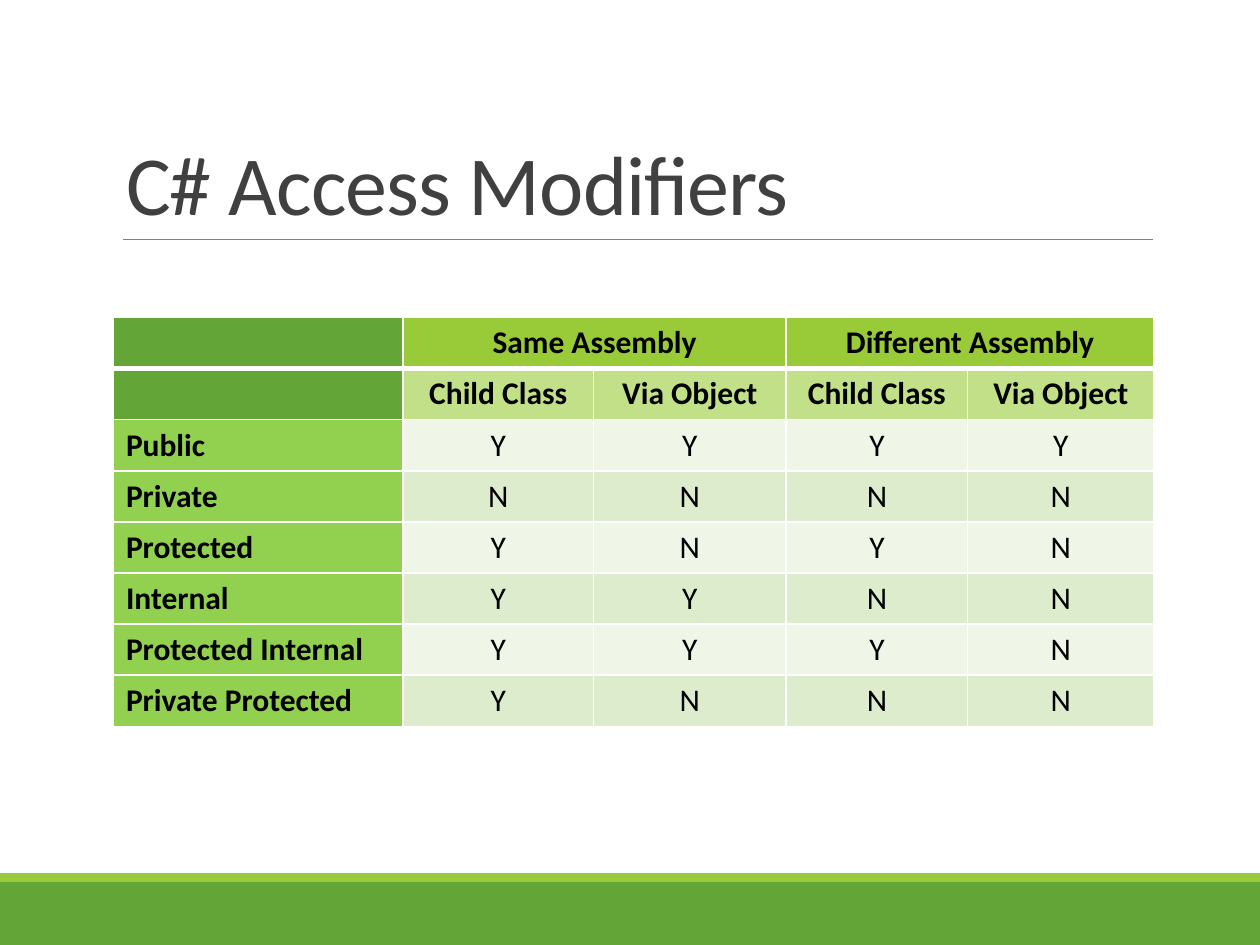
from dataclasses import dataclass

from lxml.etree import SubElement
from pptx import Presentation
from pptx.dml.color import RGBColor
from pptx.enum.shapes import MSO_CONNECTOR, MSO_SHAPE
from pptx.enum.text import MSO_ANCHOR, PP_ALIGN
from pptx.oxml import parse_xml
from pptx.oxml.ns import nsdecls, qn
from pptx.util import Inches, Pt

WIDTH, HEIGHT = 10, 7.5
LEFT, CONTENT_WIDTH = 0.9, 8.25
FONT = "Calibri"
GREEN, LIME, PALE_LIME, LABEL_GREEN = "63A537", "99CB38", "C2E088", "92D050"
STRIPES = ("EFF6E8", "DEECCE")
COLUMN_WIDTHS = (2.3, 1.51, 1.53, 1.44, 1.48)
ROW_HEIGHT = 3.24 / 8


@dataclass(frozen=True)
class Band:
    top: float
    height: float
    color: str


@dataclass(frozen=True)
class Modifier:
    name: str
    access: str  # one letter for each access column


BANDS = (Band(7, 0.5, GREEN), Band(6.93, 0.07, LIME))
ASSEMBLIES = ("Same Assembly", "Different Assembly")
ROUTES = ("Child Class", "Via Object")
MODIFIERS = (
    Modifier("Public", "YYYY"),
    Modifier("Private", "NNNN"),
    Modifier("Protected", "YNYN"),
    Modifier("Internal", "YYNN"),
    Modifier("Protected Internal", "YYYN"),
    Modifier("Private Protected", "YNNN"),
)


def rgb(color: str) -> RGBColor:
    return RGBColor.from_string(color)


def write(frame, text: str, *, size: float = 18, color: str = "000000",
          bold: bool = False, align=PP_ALIGN.LEFT, line_spacing: float = 1):
    paragraph = frame.paragraphs[0]
    paragraph.alignment = align
    paragraph.line_spacing = line_spacing
    run = paragraph.add_run()
    run.text = text
    run.font.name, run.font.size, run.font.bold = FONT, Pt(size), bold
    run.font.color.rgb = rgb(color)
    return run


def draw_band(slide, band: Band) -> None:
    shape = slide.shapes.add_shape(MSO_SHAPE.RECTANGLE, 0, Inches(band.top),
                                   Inches(WIDTH), Inches(band.height))
    shape.shadow.inherit = False
    shape.fill.solid()
    shape.fill.fore_color.rgb = rgb(band.color)
    shape.line.fill.background()


def draw_title(slide, text: str) -> None:
    title = slide.shapes.title
    title.left, title.top = Inches(LEFT), Inches(0.31)
    title.width, title.height = Inches(CONTENT_WIDTH), Inches(1.59)
    title.text_frame.vertical_anchor = MSO_ANCHOR.BOTTOM
    run = write(title.text_frame, text, size=48, color="404040", line_spacing=0.85)
    run.font._element.set("spc", "-50")


def draw_rule(slide) -> None:
    y = Inches(1.9)
    rule = slide.shapes.add_connector(MSO_CONNECTOR.STRAIGHT, Inches(0.98), y,
                                      Inches(LEFT + CONTENT_WIDTH), y)
    rule.line.color.rgb = rgb("808080")
    rule.line.width = Pt(0.5)
    SubElement(rule._element.spPr, qn("a:effectLst"))


def set_borders(cell, top: float = 1, bottom: float = 1) -> None:
    """Draw white borders; the XML order is left, right, top, bottom, then fill."""
    properties = cell._tc.get_or_add_tcPr()
    for index, (side, width) in enumerate(zip("LRTB", (1, 1, top, bottom))):
        properties.insert(index, parse_xml(
            f'<a:ln{side} {nsdecls("a")} w="{Pt(width)}"><a:solidFill>'
            f'<a:srgbClr val="FFFFFF"/></a:solidFill></a:ln{side}>'))


def fill_cell(cell, color: str, text: str = "", **text_format) -> None:
    cell.fill.solid()
    cell.fill.fore_color.rgb = rgb(color)
    if text:
        write(cell.text_frame, text, **text_format)


def draw_table(slide) -> None:
    row_count = len(MODIFIERS) + 2
    table = slide.shapes.add_table(
        row_count, len(COLUMN_WIDTHS), Inches(LEFT), Inches(2.52),
        Inches(CONTENT_WIDTH), Inches(ROW_HEIGHT * row_count)).table
    for column, width in zip(table.columns, COLUMN_WIDTHS):
        column.width = Inches(width)
    for index, row in enumerate(table.rows):
        row.height = Inches(ROW_HEIGHT)
        for cell in row.cells:
            set_borders(cell, top=3 if index == 1 else 1, bottom=3 if index == 0 else 1)

    heading = {"bold": True, "align": PP_ALIGN.CENTER}
    for row in range(2):
        fill_cell(table.cell(row, 0), GREEN)
    for index, assembly in enumerate(ASSEMBLIES):
        first = 1 + index * len(ROUTES)
        table.cell(0, first).merge(table.cell(0, first + len(ROUTES) - 1))
        fill_cell(table.cell(0, first), LIME, assembly, **heading)
        for column, route in enumerate(ROUTES, first):
            fill_cell(table.cell(1, column), PALE_LIME, route, **heading)
    for index, modifier in enumerate(MODIFIERS):
        row = index + 2
        fill_cell(table.cell(row, 0), LABEL_GREEN, modifier.name, bold=True)
        for column, letter in enumerate(modifier.access, 1):
            fill_cell(table.cell(row, column), STRIPES[index % 2], letter,
                      align=PP_ALIGN.CENTER)


def main() -> None:
    presentation = Presentation()
    presentation.slide_width, presentation.slide_height = Inches(WIDTH), Inches(HEIGHT)
    slide = presentation.slides.add_slide(presentation.slide_layouts[5])
    for band in BANDS:
        draw_band(slide, band)
    draw_rule(slide)
    draw_title(slide, "C# Access Modifiers")
    draw_table(slide)
    presentation.save("out.pptx")


if __name__ == "__main__":
    main()
